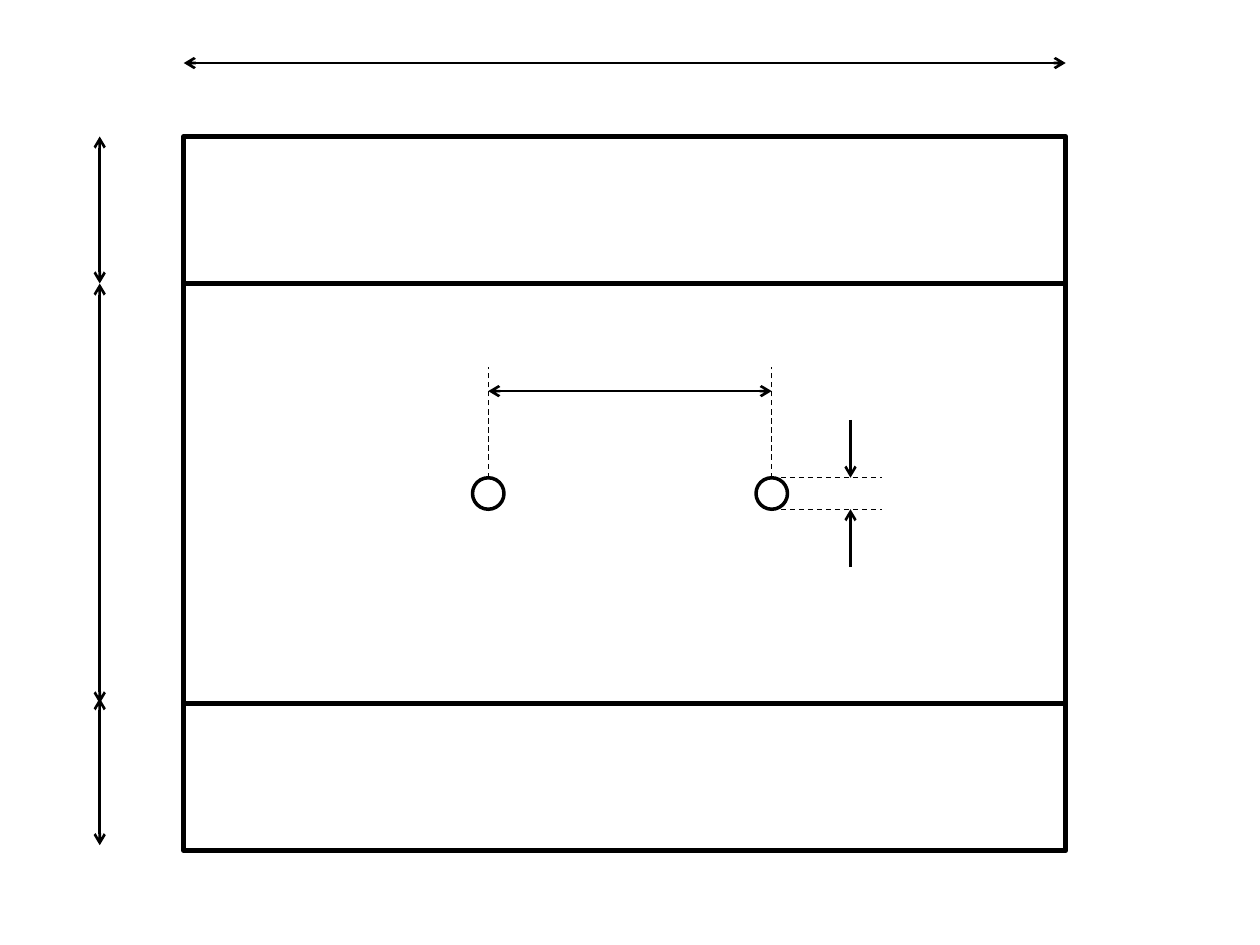
import dataclasses

import pptx
import pptx.dml.color
import pptx.enum.dml
import pptx.enum.shapes
import pptx.oxml.ns
import pptx.util
from lxml import etree

COLUMNS, ROWS = 240, 180
BLACK, WHITE = "000000", "FFFFFF"
RECT = pptx.enum.shapes.MSO_SHAPE.RECTANGLE
OVAL = pptx.enum.shapes.MSO_SHAPE.OVAL

prs = pptx.Presentation()
prs.slide_width = pptx.util.Inches(10)
prs.slide_height = pptx.util.Inches(7.5)


@dataclasses.dataclass(frozen=True)
class Outline:
    kind: pptx.enum.shapes.MSO_SHAPE
    col: float
    row: float
    cols: float
    rows: float
    weight: float


@dataclasses.dataclass(frozen=True)
class Line:
    col1: float
    row1: float
    col2: float
    row2: float
    ends: tuple[str, ...] = ()
    dashed: bool = False


def x(col: float) -> int:
    return round(prs.slide_width * col / COLUMNS)


def y(row: float) -> int:
    return round(prs.slide_height * row / ROWS)


def color(value: str) -> pptx.dml.color.RGBColor:
    return pptx.dml.color.RGBColor.from_string(value)


def draw_outline(s, o: Outline) -> None:
    sp = s.shapes.add_shape(o.kind, x(o.col), y(o.row), x(o.cols), y(o.rows))
    sp.shadow.inherit = False
    sp.fill.solid()
    sp.fill.fore_color.rgb = color(WHITE)
    sp.line.color.rgb = color(BLACK)
    sp.line.width = pptx.util.Pt(o.weight)


def draw_line(s, line: Line) -> None:
    sp = s.shapes.add_connector(
        pptx.enum.shapes.MSO_CONNECTOR.STRAIGHT,
        x(line.col1), y(line.row1), x(line.col2), y(line.row2),
    )
    sp.line.color.rgb = color(BLACK)
    sp.line.width = pptx.util.Pt(0.75 if line.dashed else 1.5)
    if line.dashed:
        sp.line.dash_style = pptx.enum.dml.MSO_LINE.DASH
    qn = pptx.oxml.ns.qn
    spPr = sp.element.spPr
    for end in line.ends:
        etree.SubElement(spPr.find(qn("a:ln")), qn(end), type="arrow")
    etree.SubElement(spPr, qn("a:effectLst"))


def main() -> None:
    s = prs.slides.add_slide(prs.slide_layouts[6])
    both, tail = ("a:headEnd", "a:tailEnd"), ("a:tailEnd",)
    left, right, scale_col = 35, 203, 19
    band_rows = (26, 54, 134, 162)
    hole, hole_top, hole_cols = 6, 91, (90, 144)
    hole_bottom = hole_top + hole
    centers = [col + hole / 2 for col in hole_cols]
    gauge_col, guide_end, guide_top, spacing_row = 162, 168, 70, 74.5

    for top, bottom in ((26, 54), (133, 161), (54, 134)):
        draw_line(s, Line(scale_col, top, scale_col, bottom, both))
    for top, bottom in zip(band_rows, band_rows[1:]):
        draw_outline(s, Outline(RECT, left, top, right - left, bottom - top, 3))
    draw_line(s, Line(left, 12, right, 12, both))

    for col in hole_cols:
        draw_outline(s, Outline(OVAL, col, hole_top, hole, hole, 2))
    draw_line(s, Line(centers[0], spacing_row, centers[1], spacing_row, both))
    for center in centers:
        draw_line(s, Line(center, hole_top, center, guide_top, dashed=True))
    for row in (hole_top, hole_bottom):
        draw_line(s, Line(centers[1], row, guide_end, row, dashed=True))
    for start, end in ((80, hole_top), (108, hole_bottom)):
        draw_line(s, Line(gauge_col, start, gauge_col, end, tail))

    prs.save("out.pptx")


if __name__ == "__main__":
    main()
